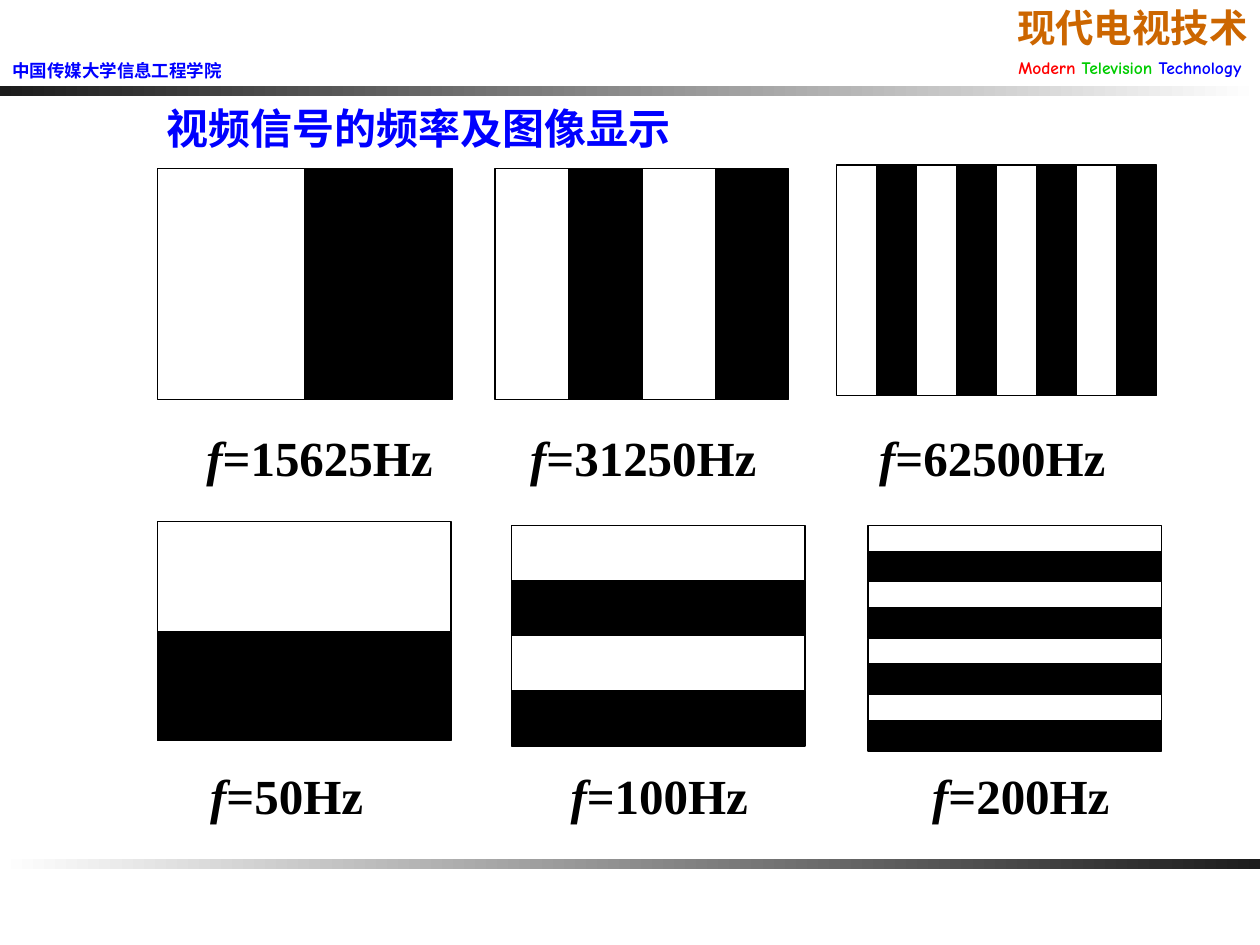
from dataclasses import dataclass

from lxml import etree
from pptx import Presentation
from pptx.dml.color import RGBColor
from pptx.enum import lang, shapes, text
from pptx.oxml import ns
from pptx.util import Inches, Pt


@dataclass(frozen=True)
class Theme:
    black: str = "000000"
    white: str = "FFFFFF"
    charcoal: str = "1C1C1C"
    blue: str = "0000FF"
    red: str = "FF0000"
    green: str = "00CC00"
    orange: str = "CC6600"
    serif: str = "Times New Roman"
    sans: str = "TeX Gyre Adventor"
    casual: str = "Comic Neue"
    small: float = 10
    spacer: float = 14
    brand: float = 22
    title: float = 24
    caption: float = 28
    outline: float = 0.75


THEME = Theme()

TOP_PANELS = [
    ((1.25, 1.34, 2.34, 1.83), 1),
    ((3.93, 1.34, 2.33, 1.83), 2),
    ((6.64, 1.31, 2.54, 1.83), 4),
]
BOTTOM_PANELS = [
    ((1.25, 4.14, 2.33, 1.74), 1, 0.5),
    ((4.06, 4.17, 2.33, 1.75), 2, 0.5),
    ((6.89, 4.17, 2.33, 1.79), 4, 0.46),
]


def add_span(para, words, name, size, color, bold=True, italic=False):
    span = para.add_run()
    span.text = words
    formats = {
        "name": name,
        "size": Pt(size),
        "bold": bold,
        "italic": italic,
        "language_id": lang.MSO_LANGUAGE_ID.SIMPLIFIED_CHINESE,
    }
    for key, value in formats.items():
        setattr(span.font, key, value)
    span.font.color.rgb = RGBColor.from_string(color)


def format_frame(frame, anchor=text.MSO_ANCHOR.TOP):
    formats = {
        "word_wrap": True,
        "auto_size": text.MSO_AUTO_SIZE.NONE,
        "vertical_anchor": anchor,
        "margin_left": Inches(0.1),
        "margin_right": Inches(0.1),
        "margin_top": Inches(0.05),
        "margin_bottom": Inches(0.05),
    }
    for key, value in formats.items():
        setattr(frame, key, value)
    return frame


def add_text(page, box, anchor=text.MSO_ANCHOR.TOP):
    label = page.shapes.add_textbox(*map(Inches, box))
    return format_frame(label.text_frame, anchor)


def add_rectangle(page, box):
    rectangle = page.shapes.add_shape(
        shapes.MSO_SHAPE.RECTANGLE, *map(Inches, box)
    )
    rectangle.shadow.inherit = False
    return rectangle


def add_rule(page, box, start, end):
    rule = add_rectangle(page, box)
    rule.line.fill.background()
    rule.fill.gradient()
    rule.fill.gradient_angle = 0
    for stop, color in zip(rule.fill.gradient_stops, (start, end)):
        stop.color.rgb = RGBColor.from_string(color)


def add_stripe(page, box, color):
    stripe = add_rectangle(page, box)
    stripe.fill.solid()
    stripe.fill.fore_color.rgb = RGBColor.from_string(color)
    stripe.line.color.rgb = RGBColor.from_string(THEME.black)
    stripe.line.width = Pt(THEME.outline)


def add_panel(page, box, cycles, vertical, white_share=0.5):
    left, top, width, height = box
    period = (width if vertical else height) / cycles
    bands = (
        (0, white_share, THEME.white),
        (white_share, 1 - white_share, THEME.black),
    )
    for cycle in range(cycles):
        for start, share, color in bands:
            offset, size = (cycle + start) * period, share * period
            if vertical:
                stripe_box = (left + offset, top, size, height)
            else:
                stripe_box = (left, top + offset, width, size)
            add_stripe(page, stripe_box, color)


def add_captions(page, box, stops, frequencies):
    para = add_text(page, box).paragraphs[0]
    properties = para._p.get_or_add_pPr()
    tabs = etree.SubElement(properties, ns.qn("a:tabLst"))
    for stop in stops:
        etree.SubElement(
            tabs, ns.qn("a:tab"), pos=str(int(Inches(stop))), algn="l"
        )
    for frequency in frequencies:
        for words, italic in (("\tf", True), (f"={frequency}Hz", False)):
            add_span(
                para, words, THEME.serif, THEME.caption, THEME.black,
                italic=italic,
            )


def add_header(page, box):
    left, top, width, height = box
    right = left + width
    bottom = top + height
    add_rule(page, (left, bottom - 0.08, width, 0.08),
             THEME.charcoal, THEME.white)

    frame = add_text(page, (right - 3.11, bottom - 0.5, 3.11, 0.42),
                     text.MSO_ANCHOR.BOTTOM)
    course, english = frame.paragraphs[0], frame.add_paragraph()
    course.alignment = english.alignment = text.PP_ALIGN.RIGHT
    add_span(course, "现代电视技术", THEME.serif, THEME.brand, THEME.orange)
    for words, color in (
        ("Modern ", THEME.red),
        ("Television ", THEME.green),
        ("Technology", THEME.blue),
    ):
        add_span(english, words, THEME.casual, THEME.small, color)
    add_span(english, " ", THEME.serif, THEME.spacer, THEME.black, bold=False)

    school = add_text(page, (left, bottom - 0.33, 2.01, 0.27))
    add_span(school.paragraphs[0], "中国传媒大学信息工程学院",
             THEME.sans, THEME.small, THEME.blue)


def add_title(page, box):
    title = page.shapes.title
    for key, value in zip(("left", "top", "width", "height"), box):
        setattr(title, key, Inches(value))
    para = format_frame(title.text_frame).paragraphs[0]
    para.alignment = text.PP_ALIGN.LEFT
    add_span(para, "视频信号的频率及图像显示",
             THEME.sans, THEME.title, THEME.blue)


def main():
    deck = Presentation()
    deck.slide_width, deck.slide_height = Inches(10), Inches(7.5)
    page = deck.slides.add_slide(deck.slide_layouts.get_by_name("Title Only"))

    add_header(page, (0, 0, 10, 0.76))
    add_title(page, (1.22, 0.76, 4.92, 0.5))
    for box, cycles in TOP_PANELS:
        add_panel(page, box, cycles, vertical=True)
    add_captions(page, (1.25, 3.34, 7.67, 0.57), (0.29, 2.86, 5.63),
                 (15625, 31250, 62500))
    for box, cycles, white_share in BOTTOM_PANELS:
        add_panel(page, box, cycles, False, white_share)
    add_captions(page, (1.38, 6.03, 7.67, 0.57), (0.19, 3.05, 5.92),
                 (50, 100, 200))
    add_rule(page, (0, 6.82, 10, 0.08), THEME.white, THEME.charcoal)

    deck.save("out.pptx")


if __name__ == "__main__":
    main()
